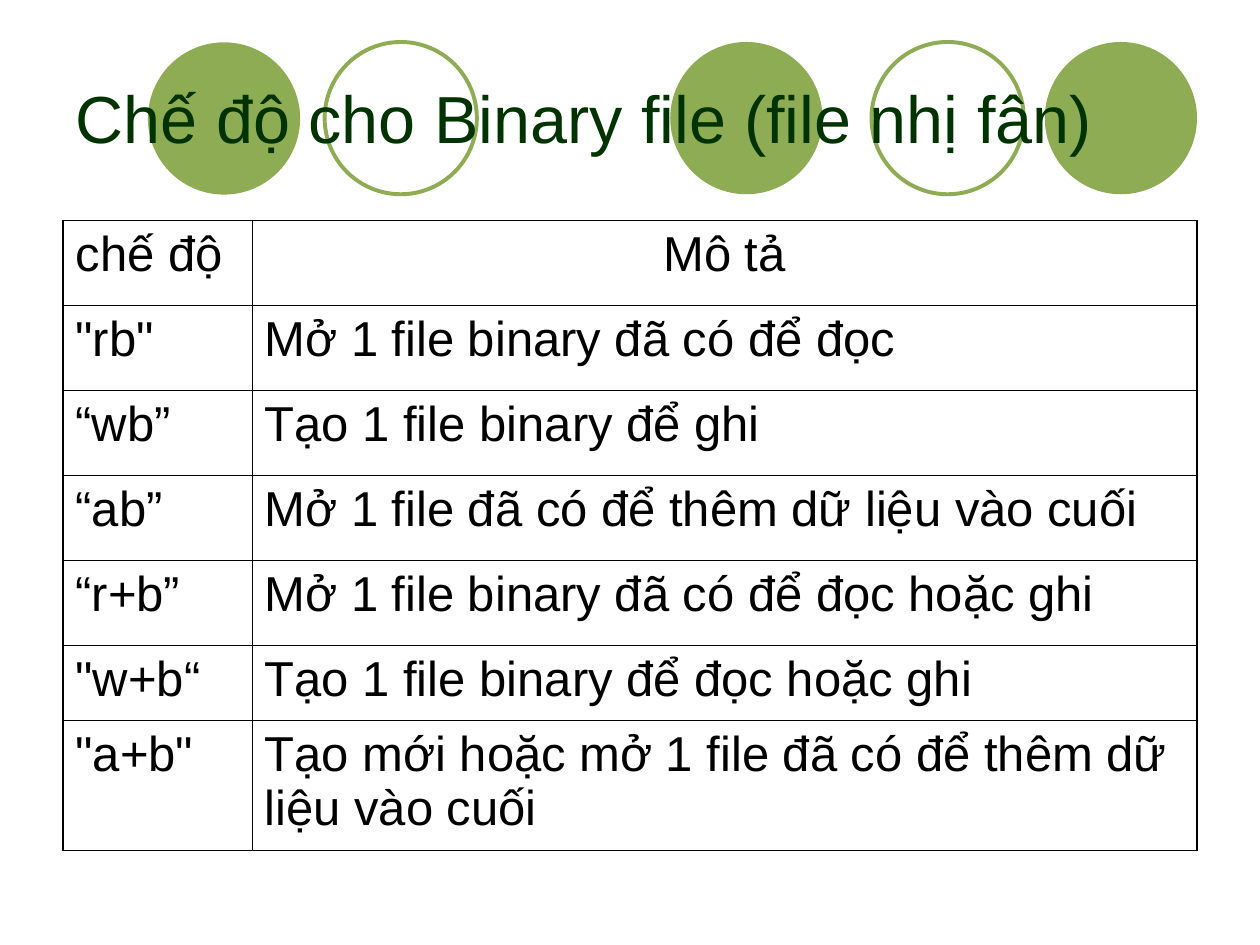
from dataclasses import dataclass

from lxml import etree
from pptx import Presentation
from pptx.dml.color import RGBColor
from pptx.enum import shapes, text
from pptx.oxml import ns
from pptx.util import Pt


@dataclass(frozen=True)
class Theme:
    font: str = "Arial"
    title_size: float = 38
    cell_size: float = 28
    title: str = "003300"
    ink: str = "000000"
    circle: str = "8DAC54"


def style(p, size, color):
    for r in p.runs:
        r.font.name = theme.font
        r.font.size = Pt(size)
        r.font.color.rgb = RGBColor.from_string(color)


def border(cell, side, width):
    ln = etree.SubElement(cell._tc.get_or_add_tcPr(), ns.qn(f"a:{side}"), w=str(Pt(width)))
    fill = etree.SubElement(ln, ns.qn("a:solidFill"))
    etree.SubElement(fill, ns.qn("a:srgbClr"), val=theme.ink)


theme = Theme()
prs = Presentation()
prs.slide_width, prs.slide_height = Pt(720), Pt(540)
s = prs.slides.add_slide(prs.slide_layouts[5])

diameter = 87
circles = [(383, 24, True), (597, 24, True), (84.5, 24.2, True), (498, 24, False), (185.5, 24, False)]
for left, top, filled in circles:
    sp = s.shapes.add_shape(shapes.MSO_SHAPE.OVAL, Pt(left), Pt(top), Pt(diameter), Pt(diameter))
    sp.shadow.inherit = False
    if filled:
        sp.fill.solid()
        sp.fill.fore_color.rgb = RGBColor.from_string(theme.circle)
        sp.line.fill.background()
    else:
        sp.fill.background()
        sp.line.color.rgb = RGBColor.from_string(theme.circle)
        sp.line.width = Pt(2.25)

title = s.shapes.title
title.left, title.top, title.width, title.height = Pt(36), Pt(21.6), Pt(648), Pt(90)
s.shapes._spTree.append(title._element)
tf = title.text_frame
tf.text = "Chế độ cho Binary file (file nhị fân)"
tf.word_wrap = True
tf.auto_size = text.MSO_AUTO_SIZE.NONE
tf.vertical_anchor = text.MSO_ANCHOR.MIDDLE
tf.paragraphs[0].alignment = text.PP_ALIGN.LEFT
style(tf.paragraphs[0], theme.title_size, theme.title)

modes = [
    ("chế độ", "Mô tả"),
    ('"rb"', "Mở 1 file binary đã có để đọc"),
    ("“wb”", "Tạo 1 file binary để ghi"),
    ("“ab”", "Mở 1 file đã có để thêm dữ liệu vào cuối"),
    ("“r+b”", "Mở 1 file binary đã có để đọc hoặc ghi"),
    ('"w+b“', "Tạo 1 file binary để đọc hoặc ghi"),
    ('"a+b"', "Tạo mới hoặc mở 1 file đã có để thêm dữ liệu vào cuối"),
]
widths = [108, 540]
heights = [48.6] * 5 + [42.9, 74.1]
outer, inner = 1.08, 0.45

frame = s.shapes.add_table(len(modes), 2, Pt(36), Pt(126), Pt(sum(widths)), Pt(sum(heights)))
table = frame.table
table.first_row = table.horz_banding = False
for column, width in zip(table.columns, widths):
    column.width = Pt(width)
for i, (row, values) in enumerate(zip(table.rows, modes)):
    row.height = Pt(heights[i])
    for j, value in enumerate(values):
        cell = table.cell(i, j)
        edges = {"lnL": j == 0, "lnR": j == 1, "lnT": i == 0, "lnB": i == len(modes) - 1}
        for side, on_edge in edges.items():
            border(cell, side, outer if on_edge else inner)
        cell.fill.background()
        cell.text_frame.text = value
        p = cell.text_frame.paragraphs[0]
        p.space_before = Pt(7)
        p.alignment = text.PP_ALIGN.CENTER if (i, j) == (0, 1) else text.PP_ALIGN.LEFT
        style(p, theme.cell_size, theme.ink)

prs.save("out.pptx")
